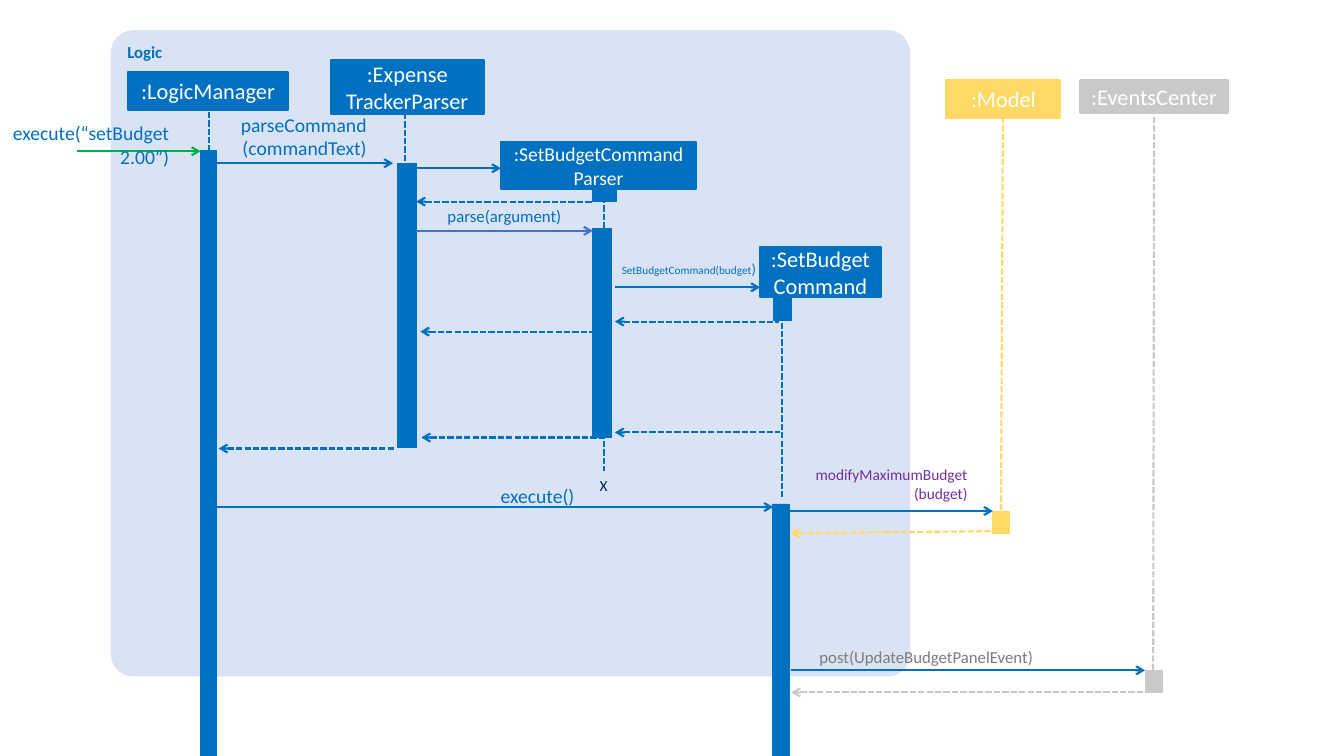
from pptx import Presentation
from pptx.util import Pt
from pptx.dml.color import RGBColor
from pptx.enum.dml import MSO_LINE
from pptx.enum.shapes import MSO_SHAPE, MSO_CONNECTOR
from pptx.enum.text import PP_ALIGN, MSO_ANCHOR, MSO_AUTO_SIZE
from pptx.oxml.ns import qn
from lxml.etree import SubElement

BLUE = RGBColor(0x00, 0x70, 0xC0)
PALE = RGBColor(0xDA, 0xE3, 0xF3)
GOLD = RGBColor(0xFF, 0xD9, 0x66)
GRAY = RGBColor(0xC9, 0xC9, 0xC9)
DARK = RGBColor(0x7C, 0x7C, 0x7C)
GREEN = RGBColor(0x00, 0xB0, 0x50)
STEEL = RGBColor(0x44, 0x72, 0xC4)
PLUM = RGBColor(0x70, 0x30, 0xA0)
NAVY = RGBColor(0x00, 0x20, 0x60)
WHITE = RGBColor(0xFF, 0xFF, 0xFF)

FRAME = (79.2, 21.6, 571, 461.5)

HEADS = [
    (":LogicManager", 91.4, 51.1, 114.5, 27.4, 16, BLUE),
    (":Expense\nTrackerParser", 236.2, 43.2, 109.4, 38.2, 16, BLUE),
    (":SetBudgetCommand\nParser", 357.8, 101.5, 139.7, 33.8, 14, BLUE),
    (":SetBudget\vCommand", 542.9, 176.4, 86.4, 36, 16, BLUE),
    (":Model", 676.1, 56.9, 81.4, 27.4, 16, GOLD),
    (":EventsCenter", 771.8, 56.9, 105.2, 23.8, 16, GRAY),
]

LIVES = [
    (149, 79.9, 149, 284.4, BLUE),
    (289.4, 80.6, 289.4, 213.8, BLUE),
    (431.3, 134.6, 431.3, 336.2, BLUE),
    (558.7, 212.4, 558.7, 242.6, BLUE),
    (558.7, 242.6, 558.7, 356.4, BLUE),
    (716.4, 83.5, 715, 365, GOLD),
    (824.4, 83.5, 823.7, 478.8, GRAY),
]

BARS = [
    (143.3, 107.3, 11.2, 553, BLUE),
    (283.7, 116.6, 13.7, 203, BLUE),
    (423.4, 134.6, 16.6, 9.4, BLUE),
    (423.4, 163.4, 13, 149, BLUE),
    (552.2, 212.4, 13, 16.6, BLUE),
    (551.5, 360, 12.2, 277.9, BLUE),
    (709.2, 365, 12.2, 15.8, GOLD),
    (817.9, 478.8, 12.2, 15.8, GRAY),
]

CALLS = [
    (54.7, 143.3, 108, GREEN),
    (154.8, 280.8, 116.6, BLUE),
    (293.8, 357.8, 120.2, BLUE),
    (297.4, 423.4, 164.9, STEEL),
    (439.2, 542.9, 205.2, BLUE),
    (154.8, 552.2, 362.2, BLUE),
    (564.5, 709.2, 365, BLUE),
    (565.2, 817.9, 478.8, BLUE),
]

BACKS = [
    (297.4, 423.4, 144, 144, BLUE),
    (439.2, 556.6, 229.7, 229.7, BLUE),
    (300.2, 432, 236.9, 236.9, BLUE),
    (439.2, 557.3, 308.9, 308.9, BLUE),
    (301, 432, 312.5, 312.5, BLUE),
    (156.2, 282.2, 320.4, 320.4, BLUE),
    (564.5, 709.2, 380.9, 379.4, GOLD),
    (565.2, 823.7, 494.6, 494.6, GRAY),
]

LABELS = [
    ("execute(“setBudget 2.00”)", 8.6, 86.4, 112.3, 33.8, 14, BLUE),
    ("parseCommand\n(commandText)", 152.6, 80.6, 109.4, 33.8, 14, BLUE),
    ("parse(argument)", 319, 146.9, 82.1, 14.4, 12, BLUE),
    ("execute()", 342.7, 345.6, 67.7, 17.3, 14, BLUE),
    ("modifyMaximumBudget\n(budget)", 578.9, 332.6, 112.3, 26.6, 11, PLUM),
    ("post(UpdateBudgetPanelEvent)", 579.6, 462.2, 158.4, 14.4, 12, DARK),
]
MAKE = ("SetBudgetCommand(budget", 437.8, 185.8, 102.2, 13, 8, BLUE)
END = ("X", 421.2, 336.2, 20.2, 20.9, 11, NAVY)

deck = Presentation()
deck.slide_width, deck.slide_height = Pt(960), Pt(540)
slide = deck.slides.add_slide(deck.slide_layouts[6])
shapes = slide.shapes


def style(frame, size, color, align):
    for para in frame.paragraphs:
        para.alignment = align
        for run in para.runs:
            font = run.font
            font.name, font.size = "Calibri", Pt(size)
            font.color.rgb = color


def block(x, y, w, h, color, edge=None, kind=MSO_SHAPE.RECTANGLE):
    box = shapes.add_shape(kind, Pt(x), Pt(y), Pt(w), Pt(h))
    box.shadow.inherit = False
    box.fill.solid()
    box.fill.fore_color.rgb = color
    if edge:
        box.line.color.rgb = color
        box.line.width = Pt(edge)
    else:
        box.line.fill.background()
    return box


def stroke(x1, y1, x2, y2, color, dash=False, tip=None):
    link = shapes.add_connector(MSO_CONNECTOR.STRAIGHT, Pt(x1), Pt(y1), Pt(x2), Pt(y2))
    link.line.color.rgb = color
    link.line.width = Pt(1.5)
    if dash:
        link.line.dash_style = MSO_LINE.SQUARE_DOT
    if tip:
        SubElement(link.line._get_or_add_ln(), qn(tip), type="arrow")
    SubElement(link._element.spPr, qn("a:effectLst"))


def label(text, x, y, w, h, size, color, align=PP_ALIGN.RIGHT, inset=0, wrap=True):
    frame = shapes.add_textbox(Pt(x), Pt(y), Pt(w), Pt(h)).text_frame
    frame.word_wrap = wrap
    frame.auto_size = MSO_AUTO_SIZE.SHAPE_TO_FIT_TEXT
    frame.margin_left = frame.margin_right = Pt(inset)
    frame.margin_top = frame.margin_bottom = Pt(inset / 2)
    frame.text = text
    style(frame, size, color, align)
    return frame


panel = block(*FRAME, PALE, kind=MSO_SHAPE.ROUNDED_RECTANGLE)
panel.adjustments[0] = 0.035
title = panel.text_frame
title.vertical_anchor = MSO_ANCHOR.TOP
title.text = "Logic"
style(title, 12, BLUE, PP_ALIGN.LEFT)
title.paragraphs[0].runs[0].font.bold = True

for x1, y1, x2, y2, color in LIVES:
    stroke(x1, y1, x2, y2, color, dash=True)
for x, y, w, h, color in BARS:
    block(x, y, w, h, color, 0.5)
for x1, x2, y, color in CALLS:
    stroke(x1, y, x2, y, color, tip="a:tailEnd")
for x1, x2, y1, y2, color in BACKS:
    stroke(x1, y1, x2, y2, color, dash=True, tip="a:headEnd")
for text, x, y, w, h, size, color in HEADS:
    frame = block(x, y, w, h, color, 1.5).text_frame
    frame.vertical_anchor = MSO_ANCHOR.MIDDLE
    frame.text = text
    style(frame, size, WHITE, PP_ALIGN.CENTER)
for item in LABELS:
    label(*item)

make = label(*MAKE)
close = make.paragraphs[0].add_run()
close.text = ")"
close.font.name, close.font.size = "Calibri", Pt(10.5)
close.font.color.rgb = BLUE
label(*END, align=PP_ALIGN.LEFT, inset=7.2, wrap=False)

deck.save("out.pptx")
